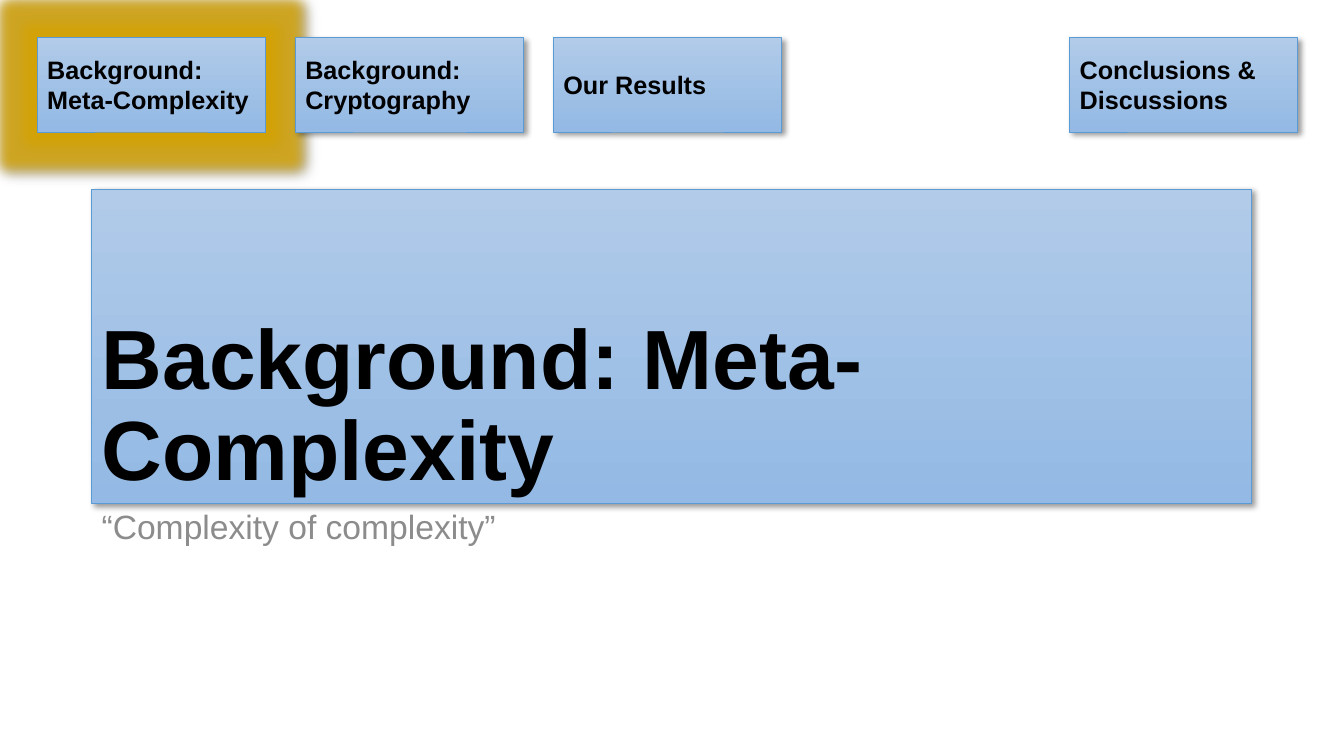
from lxml import etree
from pptx import Presentation, util as u
from pptx.dml.color import RGBColor
from pptx.enum import shapes, text
from pptx.oxml import ns

WIDTH, HEIGHT = 13.33, 7.5
TAB_LEFT, TAB_STEP, TAB_TOP = 0.37, 2.56, 0.37
TAB_WIDTH, TAB_HEIGHT = 2.26, 0.94
BODY_LEFT, BODY_WIDTH = 0.91, 11.5
SHADOW = ('<a:outerShdw blurRad="50800" dist="38100" dir="2700000" algn="tl" rotWithShape="0">'
          '<a:srgbClr val="000000"><a:alpha val="40000"/></a:srgbClr></a:outerShdw>')
GLOW = ('<a:glow rad="228600"><a:srgbClr val="D6A300">'
        '<a:alpha val="80000"/></a:srgbClr></a:glow>')


def write(shape, words, anchor, spacing, **font_format):
    frame = shape.text_frame
    frame.word_wrap = True
    frame.vertical_anchor = anchor
    paragraph = frame.paragraphs[0]
    paragraph.text = words
    paragraph.alignment = text.PP_ALIGN.LEFT
    paragraph.line_spacing = spacing
    font = paragraph.runs[0].font
    font.color.rgb = RGBColor.from_string(font_format.pop("color"))
    for name, value in font_format.items():
        setattr(font, name, value)


def add_panel(box, effects):
    """Add a blue gradient rectangle with the given effects."""
    shape = slide.shapes.add_shape(shapes.MSO_SHAPE.RECTANGLE, *map(u.Inches, box))
    shape.fill.gradient()
    shape.fill.gradient_angle = 270
    for stop, color in zip(shape.fill.gradient_stops, ("B1CBE9", "93B9E4")):
        stop.color.rgb = RGBColor.from_string(color)
        stop.position = 0 if color == "B1CBE9" else 1
    shape.line.color.rgb = RGBColor.from_string("5B9BD5")
    shape.line.width = u.Pt(0.5)
    shape.shadow.inherit = False
    effect_list = shape._element.spPr.find(ns.qn("a:effectLst"))
    wrapper = etree.fromstring(f'<a:effectLst {ns.nsdecls("a")}>{effects}</a:effectLst>')
    effect_list.extend(list(wrapper))
    return shape


presentation = Presentation()
presentation.slide_width = u.Inches(WIDTH)
presentation.slide_height = u.Inches(HEIGHT)
slide = presentation.slides.add_slide(presentation.slide_layouts[6])

heading = {"name": "Arial", "bold": True, "color": "000000"}
title = add_panel((BODY_LEFT, HEIGHT / 4, BODY_WIDTH, 3.12), SHADOW)
write(title, "Background: Meta-Complexity", text.MSO_ANCHOR.BOTTOM, 0.9,
      size=u.Pt(60), **heading)

subtitle = slide.shapes.add_textbox(*map(u.Inches, (BODY_LEFT, 5.02, BODY_WIDTH, 1.64)))
write(subtitle, "“Complexity of complexity”", text.MSO_ANCHOR.TOP, 0.9,
      size=u.Pt(24), name="Arial", color="8C8C8C")

tabs = {0: "Background: Meta-Complexity", 1: "Background: Cryptography",
        2: "Our Results", 4: "Conclusions & Discussions"}
current = 0
for column, label in tabs.items():
    box = (TAB_LEFT + column * TAB_STEP, TAB_TOP, TAB_WIDTH, TAB_HEIGHT)
    tab = add_panel(box, GLOW + SHADOW if column == current else SHADOW)
    write(tab, label, text.MSO_ANCHOR.MIDDLE, 1.0, size=u.Pt(18), **heading)

presentation.save("out.pptx")
